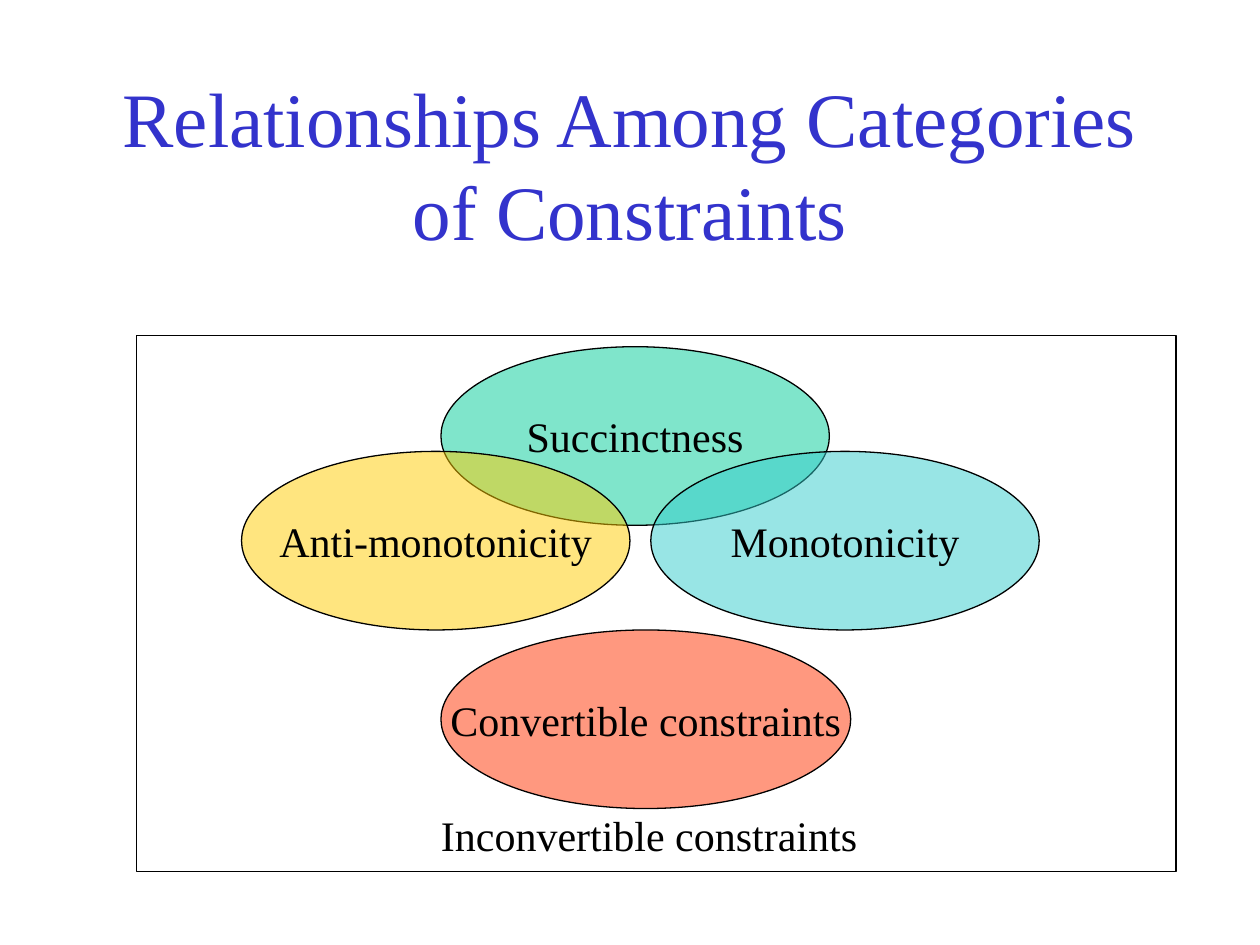
import dataclasses

import lxml.etree
import pptx
import pptx.dml.color
import pptx.enum.shapes
import pptx.enum.text
import pptx.oxml.ns
import pptx.util

Cm = pptx.util.Cm
RGB = pptx.dml.color.RGBColor
Shape = pptx.enum.shapes.MSO_SHAPE
Align = pptx.enum.text.PP_ALIGN


@dataclasses.dataclass(frozen=True)
class Theme:
    font: str = "Times New Roman"
    title_size: int = 44
    label_size: int = 24
    line_width: float = 0.75
    fill_alpha: int = 50
    title: RGB = RGB(0x33, 0x33, 0xCC)
    ink: RGB = RGB(0, 0, 0)
    green: RGB = RGB(0x00, 0xCC, 0x99)
    yellow: RGB = RGB(0xFF, 0xCC, 0x00)
    cyan: RGB = RGB(0x33, 0xCC, 0xCC)
    red: RGB = RGB(0xFF, 0x33, 0x00)


@dataclasses.dataclass(frozen=True)
class Category:
    label: str
    left: float
    top: float
    color: RGB
    width: float = 7.83
    height: float = 3.6


THEME = Theme()
CATEGORIES = (
    Category("Succinctness", 8.89, 6.99, THEME.green),
    Category("Anti-monotonicity", 4.87, 9.1, THEME.yellow),
    Category("Monotonicity", 13.12, 9.1, THEME.cyan),
    Category("Convertible constraints", 8.89, 12.7, THEME.red, width=8.26),
)


def write(frame, text: str, size: int, color: RGB, align: Align, wrap: bool) -> None:
    frame.text = text
    frame.word_wrap = wrap
    frame.auto_size = pptx.enum.text.MSO_AUTO_SIZE.NONE
    paragraph = frame.paragraphs[0]
    paragraph.alignment = align
    paragraph.font.name = THEME.font
    paragraph.font.size = pptx.util.Pt(size)
    paragraph.font.color.rgb = color


def add_outlined(slide, kind: Shape, left: float, top: float, width: float, height: float):
    outlined = slide.shapes.add_shape(kind, Cm(left), Cm(top), Cm(width), Cm(height))
    outlined.shadow.inherit = False
    outlined.fill.background()
    outlined.line.color.rgb = THEME.ink
    outlined.line.width = pptx.util.Pt(THEME.line_width)
    return outlined


def add_category(slide, category: Category) -> None:
    ellipse = add_outlined(slide, Shape.OVAL, category.left, category.top,
                           category.width, category.height)
    ellipse.fill.solid()
    ellipse.fill.fore_color.rgb = category.color
    qn = pptx.oxml.ns.qn
    fill_color = ellipse.element.spPr.find(qn("a:solidFill")).find(qn("a:srgbClr"))
    lxml.etree.SubElement(fill_color, qn("a:alpha"), val=str(THEME.fill_alpha * 1000))
    write(ellipse.text_frame, category.label, THEME.label_size, THEME.ink, Align.CENTER, False)
    ellipse.text_frame.vertical_anchor = pptx.enum.text.MSO_ANCHOR.MIDDLE


def main() -> None:
    presentation = pptx.Presentation()
    presentation.slide_width = Cm(25.4)
    presentation.slide_height = Cm(19.05)
    slide = presentation.slides.add_slide(presentation.slide_layouts.get_by_name("Title Only"))

    heading = slide.shapes.title
    heading.left, heading.top = Cm(1.9), Cm(1.7)
    heading.width, heading.height = Cm(21.6), Cm(3.18)
    write(heading.text_frame, "Relationships Among Categories of Constraints",
          THEME.title_size, THEME.title, Align.CENTER, True)
    heading.text_frame.vertical_anchor = pptx.enum.text.MSO_ANCHOR.MIDDLE

    for category in CATEGORIES:
        add_category(slide, category)

    inconvertible = slide.shapes.add_textbox(Cm(8.64), Cm(16.2), Cm(9.1), Cm(1.27))
    write(inconvertible.text_frame, "Inconvertible constraints",
          THEME.label_size, THEME.ink, Align.LEFT, True)

    add_outlined(slide, Shape.RECTANGLE, 2.75, 6.77, 20.96, 10.8)
    presentation.save("out.pptx")


if __name__ == "__main__":
    main()
